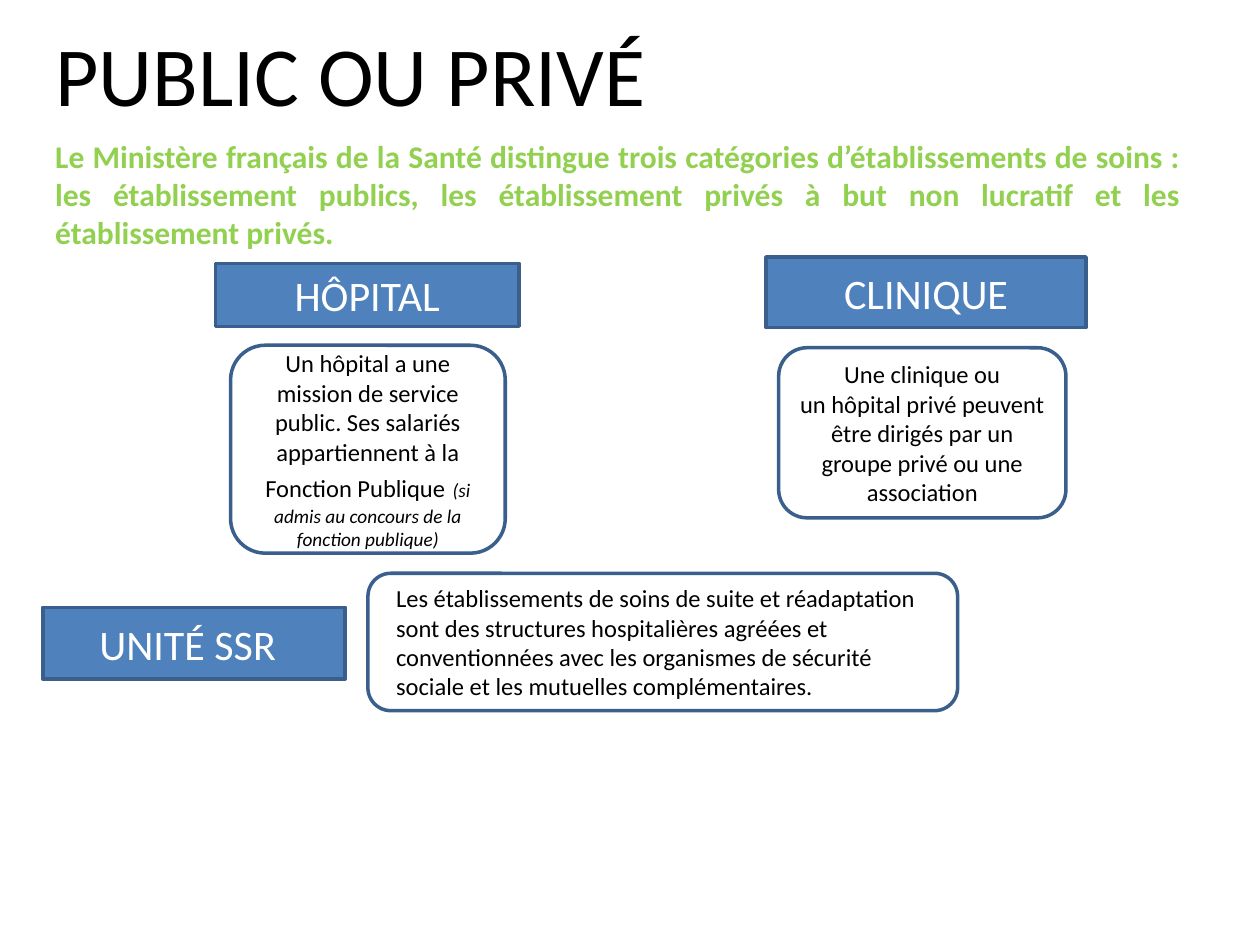
from pptx import Presentation
from pptx.dml.color import RGBColor
from pptx.enum.shapes import MSO_SHAPE
from pptx.enum.text import MSO_ANCHOR, MSO_AUTO_SIZE, PP_ALIGN
from pptx.util import Inches, Pt

BLACK = RGBColor(0x00, 0x00, 0x00)
WHITE = RGBColor(0xFF, 0xFF, 0xFF)
GREEN = RGBColor(0x92, 0xD0, 0x50)
BLUE = RGBColor(0x4F, 0x81, 0xBD)
DARK_BLUE = RGBColor(0x3A, 0x5F, 0x8C)

TITLE = "PUBLIC OU PRIVÉ"
INTRO = (
    "Le Ministère français de la Santé distingue trois catégories d’établissements de soins : "
    "les établissement publics, les établissement privés à but non lucratif et les "
    "établissement privés."
)
HEADINGS = [
    ("HÔPITAL", (1.71, 2.09, 2.41, 0.5), 0.1),
    ("CLINIQUE", (6.08, 2.04, 2.54, 0.56), 0.1),
    ("UNITÉ SSR", (0.34, 4.82, 2.4, 0.57), 0.2),
]
BODY = {"size": Pt(14)}
DESCRIPTIONS = [
    ([("Un hôpital a une mission de service public. Ses salariés "
       "appartiennent à la Fonction Publique", BODY),
      ("\u00a0", {"size": Pt(18)}),
      ("(si admis au concours de la fonction publique)", {"size": Pt(11), "italic": True})],
     (1.83, 2.74, 2.18, 1.65), PP_ALIGN.CENTER, 0.1),
    ([("Une clinique ou un\u00a0hôpital privé\u00a0peuvent être dirigés par un groupe privé "
       "ou une association", BODY)],
     (6.18, 2.76, 2.28, 1.35), PP_ALIGN.CENTER, 0.1),
    ([("Les établissements de soins de suite et réadaptation sont des structures "
       "hospitalières agréées et conventionnées avec les organismes de sécurité sociale "
       "et les mutuelles complémentaires.", BODY)],
     (2.92, 4.55, 4.68, 1.09), PP_ALIGN.LEFT, 0.17),
]


def write(frame, runs, color, alignment, anchor):
    frame.word_wrap = True
    frame.auto_size = MSO_AUTO_SIZE.NONE
    frame.vertical_anchor = anchor
    paragraph = frame.paragraphs[0]
    paragraph.alignment = alignment
    for text, formats in runs:
        run = paragraph.add_run()
        run.text = text
        run.font.name = "Calibri"
        run.font.color.rgb = color
        for attribute, value in formats.items():
            setattr(run.font, attribute, value)


def add_panel(slide, kind, place, fill):
    panel = slide.shapes.add_shape(kind, *map(Inches, place))
    panel.shadow.inherit = False
    panel.fill.solid()
    panel.fill.fore_color.rgb = fill
    panel.line.color.rgb = DARK_BLUE
    panel.line.width = Pt(2)
    return panel


def main():
    presentation = Presentation()
    presentation.slide_width = Inches(10)
    presentation.slide_height = Inches(7.5)
    slide = presentation.slides.add_slide(presentation.slide_layouts[5])

    title = slide.shapes.title
    title.left, title.top, title.width, title.height = map(Inches, (0.34, 0.13, 6.77, 0.91))
    write(title.text_frame, [(TITLE, {"size": Pt(48)})], BLACK, PP_ALIGN.LEFT, MSO_ANCHOR.TOP)

    intro = slide.shapes.add_textbox(*map(Inches, (0.34, 1.04, 9.13, 1.01)))
    write(intro.text_frame, [(INTRO, {"size": Pt(18), "bold": True})], GREEN,
          PP_ALIGN.JUSTIFY, MSO_ANCHOR.TOP)

    for label, place, right_margin in HEADINGS:
        heading = add_panel(slide, MSO_SHAPE.RECTANGLE, place, BLUE)
        heading.text_frame.margin_right = Inches(right_margin)
        write(heading.text_frame, [(label, {"size": Pt(24)})], WHITE,
              PP_ALIGN.CENTER, MSO_ANCHOR.MIDDLE)

    for runs, place, alignment, left_margin in DESCRIPTIONS:
        description = add_panel(slide, MSO_SHAPE.ROUNDED_RECTANGLE, place, WHITE)
        description.text_frame.margin_left = Inches(left_margin)
        write(description.text_frame, runs, BLACK, alignment, MSO_ANCHOR.MIDDLE)

    presentation.save("out.pptx")


if __name__ == "__main__":
    main()
